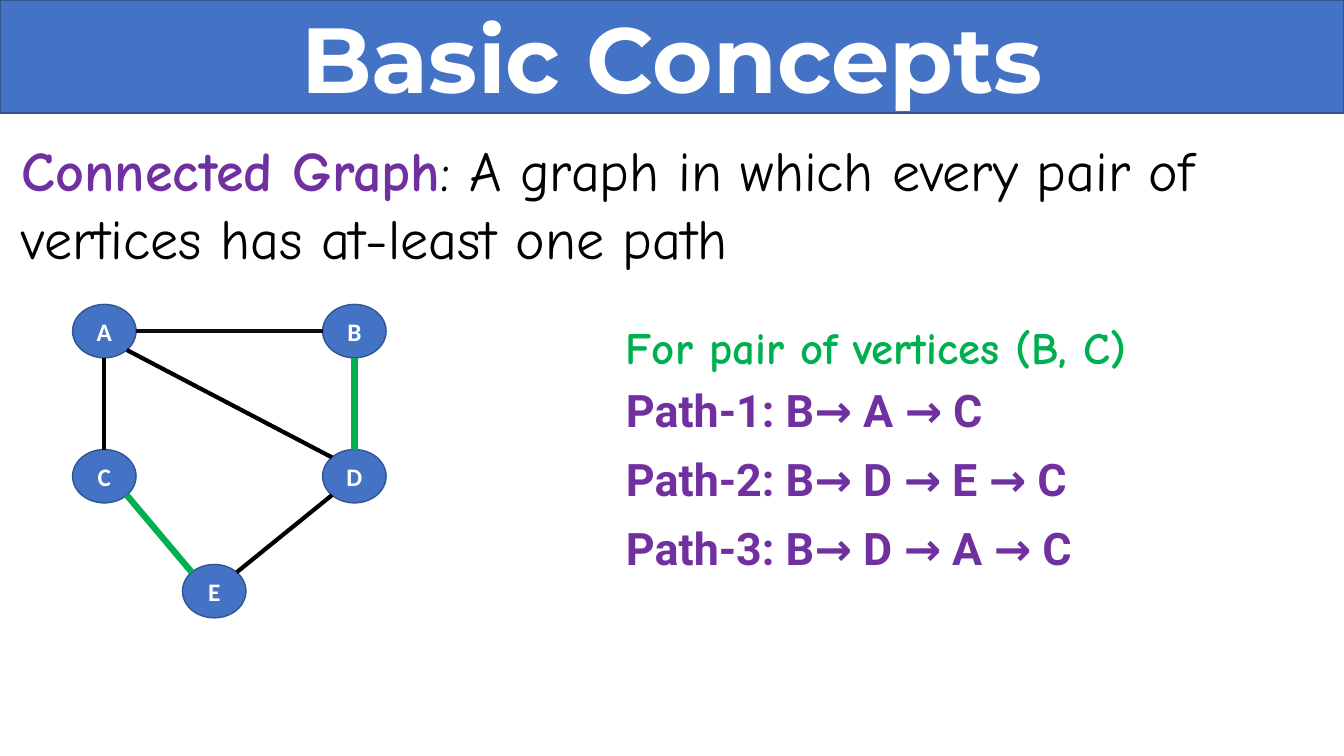
from dataclasses import dataclass
from math import cos, pi, sin

from lxml.etree import SubElement
from pptx import Presentation
from pptx.dml.color import RGBColor
from pptx.enum.shapes import MSO_CONNECTOR, MSO_SHAPE
from pptx.enum.text import MSO_ANCHOR, MSO_AUTO_SIZE, PP_ALIGN
from pptx.oxml.ns import qn
from pptx.util import Inches, Pt

BLUE, OUTLINE = "4472C4", "325491"
PURPLE, GREEN, BLACK, WHITE = "7030A0", "00B050", "000000", "FFFFFF"
VERTEX_WIDTH, VERTEX_HEIGHT = 0.63, 0.53
TOP, LEFT, BOTTOM_LEFT, BOTTOM, BOTTOM_RIGHT, RIGHT, TOP_RIGHT = 0, 2, 3, 4, 5, 6, 7
TOP_LEFT = 1


@dataclass(frozen=True)
class Vertex:
    label: str
    left: float
    top: float

    def site(self, index: int) -> tuple[float, float]:
        angle = index * pi / 4
        return (
            self.left + VERTEX_WIDTH / 2 * (1 - sin(angle)),
            self.top + VERTEX_HEIGHT / 2 * (1 - cos(angle)),
        )


@dataclass(frozen=True)
class Edge:
    start: str
    start_site: int
    end: str
    end_site: int
    color: str = BLACK
    weight: float = 3


@dataclass(frozen=True)
class Line:
    text: str
    top: float
    width: float
    font: str
    color: str


VERTICES = {
    vertex.label: vertex
    for vertex in (
        Vertex("A", 0.72, 3.02),
        Vertex("E", 1.81, 5.6),
        Vertex("D", 3.2, 4.46),
        Vertex("C", 0.72, 4.46),
        Vertex("B", 3.2, 3.02),
    )
}
EDGES = (
    Edge("A", RIGHT, "B", LEFT, "0D0D0D"),
    Edge("A", BOTTOM, "C", TOP),
    Edge("A", BOTTOM_RIGHT, "D", TOP_LEFT),
    Edge("E", TOP_RIGHT, "D", BOTTOM_LEFT),
    Edge("B", BOTTOM, "D", TOP, GREEN, 4.5),
    Edge("C", BOTTOM_RIGHT, "E", TOP_LEFT, GREEN, 4.5),
)
PATH_LINES = (
    Line("For pair of vertices (B, C)", 3.12, 7.22, "Comic Neue", GREEN),
    Line("Path-1: B→ A → C", 3.75, 4.14, "Roboto", PURPLE),
    Line("Path-2: B→ D → E → C", 4.43, 5.82, "Roboto", PURPLE),
    Line("Path-3: B→ D → A → C", 5.12, 5.82, "Roboto", PURPLE),
)


def rgb(color: str) -> RGBColor:
    return RGBColor.from_string(color)


def set_font(font, name: str, size: float, color: str, bold: bool = True) -> None:
    font.name = name
    font.size = Pt(size)
    font.bold = bold
    font.color.rgb = rgb(color)


def paint(shape) -> None:
    shape.fill.solid()
    shape.fill.fore_color.rgb = rgb(BLUE)
    shape.line.color.rgb = rgb(OUTLINE)
    shape.line.width = Pt(1)


def add_heading(slide, text: str) -> None:
    heading = slide.shapes.title
    heading.left, heading.top = Inches(0), Inches(0)
    heading.width, heading.height = Inches(13.33), Inches(1.12)
    paint(heading)
    frame = heading.text_frame
    frame.text = text
    frame.auto_size = MSO_AUTO_SIZE.NONE
    frame.vertical_anchor = MSO_ANCHOR.MIDDLE
    paragraph = frame.paragraphs[0]
    paragraph.alignment = PP_ALIGN.CENTER
    paragraph.line_spacing = 1.0
    set_font(paragraph.font, "Montserrat", 66, WHITE)


def add_text_area(slide, left: float, top: float, width: float, height: float):
    area = slide.shapes.add_textbox(
        Inches(left), Inches(top), Inches(width), Inches(height)
    )
    frame = area.text_frame
    frame.word_wrap = True
    frame.auto_size = MSO_AUTO_SIZE.SHAPE_TO_FIT_TEXT
    return frame.paragraphs[0]


def add_definition(slide, term: str, meaning: str) -> None:
    paragraph = add_text_area(slide, 0.12, 1.3, 12.46, 1.45)
    for text, color, bold in ((term, PURPLE, True), (meaning, BLACK, False)):
        run = paragraph.add_run()
        run.text = text
        set_font(run.font, "Comic Neue", 40, color, bold)


def add_vertex(shapes, vertex: Vertex):
    ellipse = shapes.add_shape(
        MSO_SHAPE.OVAL,
        Inches(vertex.left),
        Inches(vertex.top),
        Inches(VERTEX_WIDTH),
        Inches(VERTEX_HEIGHT),
    )
    ellipse.shadow.inherit = False
    paint(ellipse)
    frame = ellipse.text_frame
    frame.text = vertex.label
    frame.vertical_anchor = MSO_ANCHOR.MIDDLE
    paragraph = frame.paragraphs[0]
    paragraph.alignment = PP_ALIGN.CENTER
    set_font(paragraph.font, "Calibri", 18, WHITE)
    return ellipse


def add_edge(shapes, edge: Edge, ellipses: dict) -> None:
    start = VERTICES[edge.start].site(edge.start_site)
    end = VERTICES[edge.end].site(edge.end_site)
    connector = shapes.add_connector(
        MSO_CONNECTOR.STRAIGHT, *(Inches(value) for value in start + end)
    )
    connector.line.color.rgb = rgb(edge.color)
    connector.line.width = Pt(edge.weight)
    SubElement(connector.element.spPr, qn("a:effectLst"))
    joints = connector.element.find(".//" + qn("p:cNvCxnSpPr"))
    for tag, label, site in (
        ("a:stCxn", edge.start, edge.start_site),
        ("a:endCxn", edge.end, edge.end_site),
    ):
        SubElement(
            joints, qn(tag), id=str(ellipses[label].shape_id), idx=str(site)
        )


def add_graph(slide) -> None:
    shapes = slide.shapes.add_group_shape().shapes
    ellipses = {
        label: add_vertex(shapes, vertex) for label, vertex in VERTICES.items()
    }
    for edge in EDGES:
        add_edge(shapes, edge, ellipses)


def add_path_line(slide, line: Line) -> None:
    paragraph = add_text_area(slide, 6.11, line.top, line.width, 0.64)
    paragraph.text = line.text
    set_font(paragraph.font, line.font, 32, line.color)


def main() -> None:
    presentation = Presentation()
    presentation.slide_width = Inches(13.33)
    presentation.slide_height = Inches(7.5)
    slide = presentation.slides.add_slide(presentation.slide_layouts[5])
    add_heading(slide, "Basic Concepts")
    add_definition(
        slide,
        "Connected Graph",
        ": A graph in which every pair of vertices has at-least one path",
    )
    add_graph(slide)
    for line in PATH_LINES:
        add_path_line(slide, line)
    presentation.save("out.pptx")


if __name__ == "__main__":
    main()
